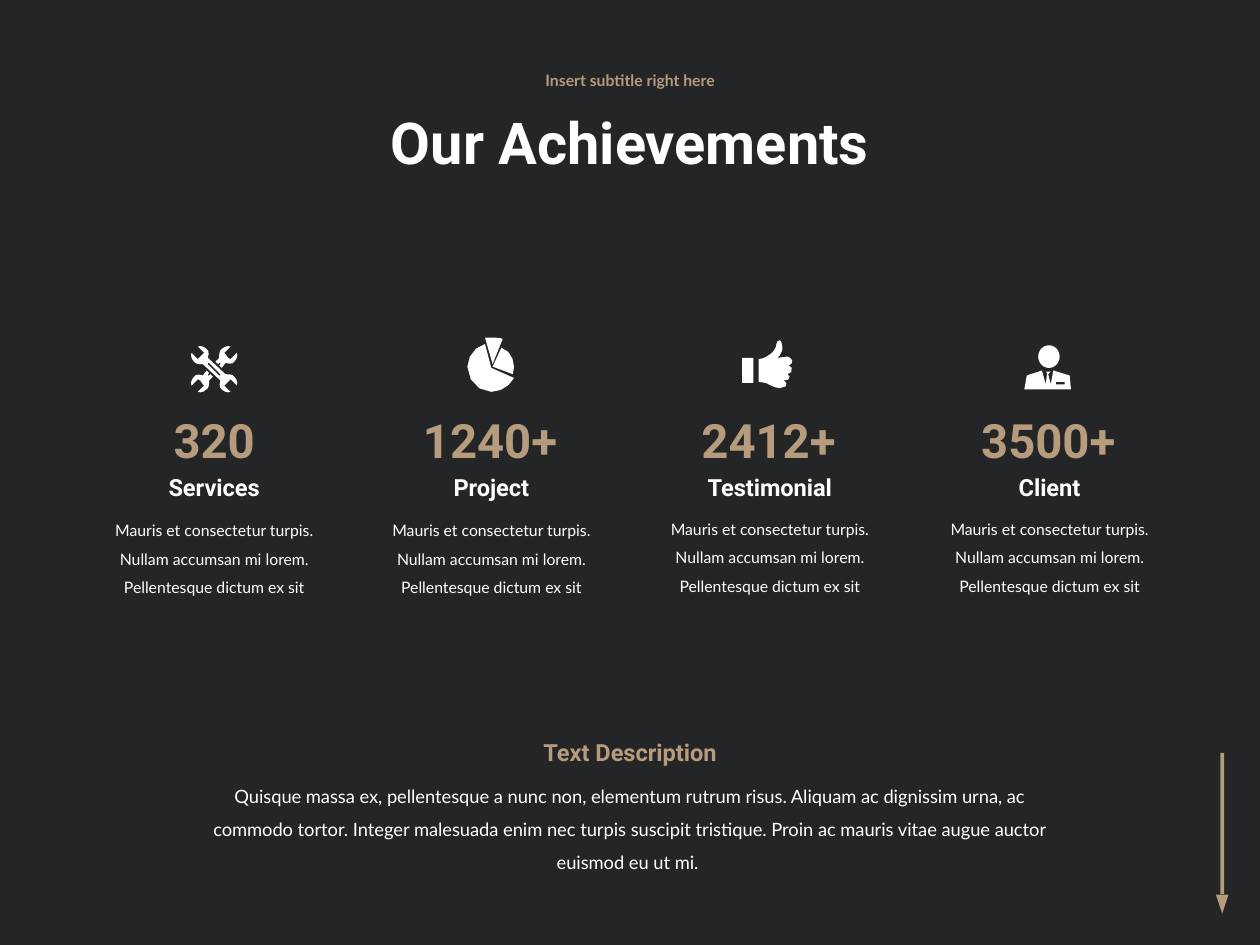
"""Build the achievements slide on a grid of 100 columns by 75 rows."""
from pptx import Presentation, util as u
from pptx.dml.color import RGBColor
from pptx.enum import shapes, text
from pptx.oxml import parse_xml
from pptx.oxml.ns import nsdecls

DARK = RGBColor(0x24, 0x25, 0x27)
GOLD = RGBColor(0xB6, 0x9B, 0x7D)
WHITE = RGBColor(0xFF, 0xFF, 0xFF)
COLUMNS, ROWS, CELL = 100, 75, u.Inches(0.1)
FIRST_CENTER, PITCH, ICON_ROW = 17, 22.1, 29.3
CURVE_STEPS, PRECISION = 3, 100

ACHIEVEMENTS = [("320", 17, 15.2, "Services", 17, 14, 40.1),
                ("1240+", 38.9, 17.6, "Project", 39, 14, 40.1),
                ("2412+", 61, 17.6, "Testimonial", 61.1, 18.3, 40),
                ("3500+", 83.2, 17.6, "Client", 83.3, 14, 40)]
BLURB = ("Mauris et consectetur turpis. Nullam accumsan mi lorem. "
         "Pellentesque dictum ex sit")
DESCRIPTION = ("Quisque massa ex, pellentesque a nunc non, elementum rutrum risus. "
               "Aliquam ac dignissim urna, ac commodo tortor. Integer malesuada enim "
               "nec turpis suscipit tristique. Proin ac mauris vitae augue auctor "
               "euismod eu ut mi. ")

HALF_WRENCH = [(16, 6), (15, 4, 12, 4, 9, 4), (-5, -9), (-4, -12, -4, -15, -6, -16),
               (-8, -18, -11, -19, -13, -18), (-9, -14), (-8, -13), (-9, -12),
               (-12, -9), (-13, -8), (-14, -9), (-18, -13),
               (-19, -11, -18, -8, -16, -6)]
WRENCH_SLOT = [(5, 5), (4, 5), (-5, -4), (-5, -5), (-4, -5), (5, 4)]
WRENCH_END = [(3, -4), (4, -5), (5, -5), (5, -4), (4, -3), (6, -1), (9, -5),
              (12, -4, 15, -4, 16, -6), (18, -8, 19, -11, 18, -13), (14, -9),
              (13, -8), (11, -9), (9, -12), (8, -13), (9, -14), (13, -18),
              (11, -19, 8, -18, 6, -16), (4, -15, 4, -12, 4, -9), (1, -6)]
PIE_SLICES = [
    [(0, -2), (16, 4), (16, 3, 17, 0, 17, -2), (17, -9, 13, -15, 7, -17)],
    [(-1, -1), (-6, -20), (-14, -18, -20, -10, -20, -2), (-20, 9, -11, 18, -1, 18),
     (7, 18, 14, 13, 17, 7)],
    [(0, -4), (8, -24), (6, -25, 3, -25, -1, -25), (-6, -25)]]
THUMB = [(15, -9), (13, -10), (5, -9), (7, -10, 9, -15, 9, -16),
         (9, -19, 8, -23, 7, -23), (4, -23, 4, -19, 4, -18), (3, -15, 0, -12, -2, -11),
         (-4, -10, -6, -8, -10, -8), (-10, 10), (-4, 11),
         (0, 13, 3, 15, 7, 15), (14, 15, 13, 10, 10, 9), (15, 10, 16, 5, 13, 4),
         (18, 4, 17, -3, 14, -3), (17, -3, 18, -8, 15, -9)]
SUIT = [(16, 5), (3, 1), (1, 12), (-1, 4), (0, 3), (1, 2), (-3, 2), (-2, 3), (-2, 4),
        (-3, 12), (-6, 1), (-18, 5), (-20, 16), (17, 16)]
POCKET = [(12, 12), (5, 12), (5, 10), (9, 10), (12, 10)]


def cells(*lengths):
    """Turn grid lengths into slide lengths."""
    return [u.Emu(round(length * CELL)) for length in lengths]


def paint(shape, color):
    """Fill a shape flatly, without outline or shadow."""
    shape.shadow.inherit = False
    shape.fill.solid()
    shape.fill.fore_color.rgb = color
    shape.line.fill.background()


def add_text(page, words, center, top, width, height, size, color=WHITE, font="Roboto",
             bold=True, spacing=None, middle=False):
    """Add a centred text box around a grid column."""
    box = page.shapes.add_textbox(*cells(center - width / 2, top, width, height))
    frame = box.text_frame
    frame.word_wrap = True
    if middle:
        frame.vertical_anchor = text.MSO_ANCHOR.MIDDLE
    else:
        frame.auto_size = text.MSO_AUTO_SIZE.SHAPE_TO_FIT_TEXT
    para = frame.paragraphs[0]
    para.alignment = text.PP_ALIGN.CENTER
    if spacing:
        para.line_spacing = spacing
    span = para.add_run()
    span.text = words
    span.font.name, span.font.size, span.font.bold = font, u.Pt(size), bold
    span.font.color.rgb = color


def add_preset(page, kind, left, top, width, height, color, rotation=0):
    """Add a flat preset shape on the grid."""
    shape = page.shapes.add_shape(kind, *cells(left, top, width, height))
    shape.rotation = rotation
    paint(shape, color)
    return shape


def flatten(outline):
    """Turn an outline of lines and cubic curves into points."""
    points = [outline[0]]
    for step in outline[1:]:
        if len(step) == 2:
            points.append(step)
            continue
        controls = [points[-1], step[:2], step[2:4], step[4:]]
        for index in range(1, CURVE_STEPS + 1):
            t = index / CURVE_STEPS
            weights = ((1 - t) ** 3, 3 * t * (1 - t) ** 2, 3 * t * t * (1 - t), t ** 3)
            points.append(tuple(sum(weight * control[axis] for weight, control
                                    in zip(weights, controls)) for axis in (0, 1)))
    return points


def half_turn(outline):
    """Rotate an outline by 180 degrees about the icon centre."""
    return [tuple(-value for value in step) for step in outline]


def add_outline(page, center, *outlines):
    """Draw closed outlines, in tenths of a cell about an icon centre, as one shape."""
    builder = None
    for outline in outlines:
        points = [(x * PRECISION, y * PRECISION) for x, y in flatten(outline)]
        if builder is None:
            builder = page.shapes.build_freeform(*points[0], scale=CELL / 10 / PRECISION)
        else:
            builder.move_to(*points[0])
        builder.add_line_segments(points[1:], close=True)
    paint(builder.convert_to_shape(*cells(center, ICON_ROW)), WHITE)


def add_icons(page, centers):
    """Draw the pie, tools, thumb and client icons."""
    tools, pie, thumb, client = centers
    for piece in PIE_SLICES:
        add_outline(page, pie, piece)
    add_outline(page, tools, WRENCH_END)
    add_outline(page, tools, half_turn(WRENCH_END))
    add_outline(page, tools, HALF_WRENCH + half_turn(HALF_WRENCH)[1:], WRENCH_SLOT)
    add_outline(page, thumb, THUMB)
    add_preset(page, shapes.MSO_SHAPE.RECTANGLE, thumb - 2.3, ICON_ROW - 0.9, 0.9, 2, WHITE)
    add_outline(page, client, SUIT, POCKET)
    add_preset(page, shapes.MSO_SHAPE.OVAL, client - 0.9, ICON_ROW - 1.9, 1.7, 1.8, WHITE)


def add_band(page):
    """Add the translucent band behind the achievements."""
    band = add_preset(page, shapes.MSO_SHAPE.RECTANGLE, 0, 19.3, COLUMNS, 35.4, DARK)
    tint = band.fill._xPr.find(".//{*}srgbClr")
    tint.append(parse_xml(f'<a:alpha {nsdecls("a")} val="85000"/>'))


def main():
    """Build and save the slide."""
    deck = Presentation()
    deck.slide_width, deck.slide_height = cells(COLUMNS, ROWS)
    page = deck.slides.add_slide(deck.slide_layouts[6])
    page.background.fill.solid()
    page.background.fill.fore_color.rgb = DARK
    middle = COLUMNS / 2
    add_preset(page, shapes.MSO_SHAPE.RECTANGLE, 91.4, 65.2, 11.2, 0.3, GOLD, rotation=90)
    add_preset(page, shapes.MSO_SHAPE.ISOSCELES_TRIANGLE, 96.5, 71, 1, 1.5, GOLD, rotation=180)
    add_text(page, "Our Achievements", middle, 6.4, 56.3, 10.3, 33, spacing=0.9, middle=True)
    add_text(page, "Insert subtitle right here", middle, 4.55, 56.3, 3.8, 9, color=GOLD,
             font="Lato", spacing=0.9, middle=True)
    add_band(page)
    add_icons(page, [FIRST_CENTER + PITCH * index for index in range(len(ACHIEVEMENTS))])
    for (number, number_center, number_width, label, center, label_width,
         blurb_top) in ACHIEVEMENTS:
        add_text(page, label, center, 37.05, label_width, 3.3, 13.5)
        add_text(page, number, number_center, 32.15, number_width, 5.6, 27, color=GOLD)
        add_text(page, BLURB, center, blurb_top, 19.6, 7.6, 9, font="Lato", bold=False,
                 spacing=1.5)
    add_text(page, DESCRIPTION, middle, 60.95, 71.2, 6, 10.5, font="Lato", bold=False,
             spacing=1.5)
    add_text(page, "Text Description", middle, 58.05, 21.9, 3.3, 13.5, color=GOLD)
    deck.save("out.pptx")


if __name__ == "__main__":
    main()
